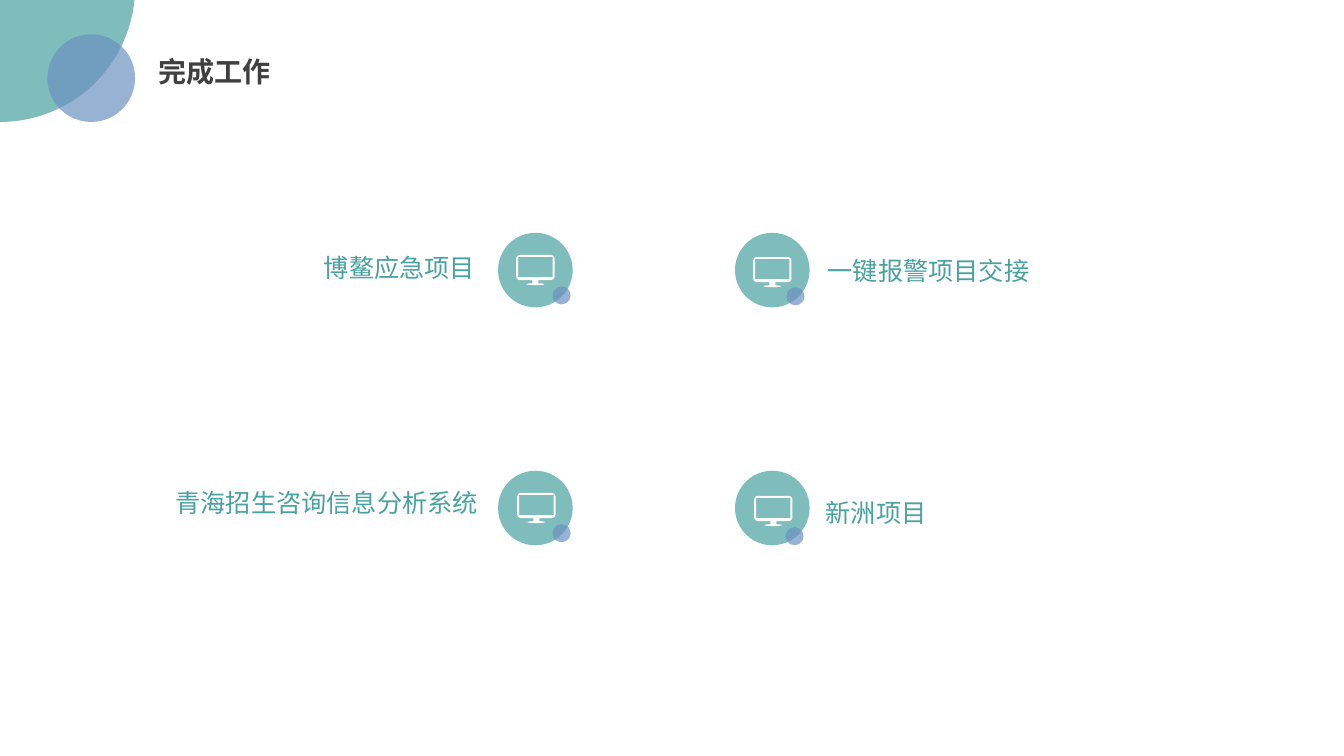
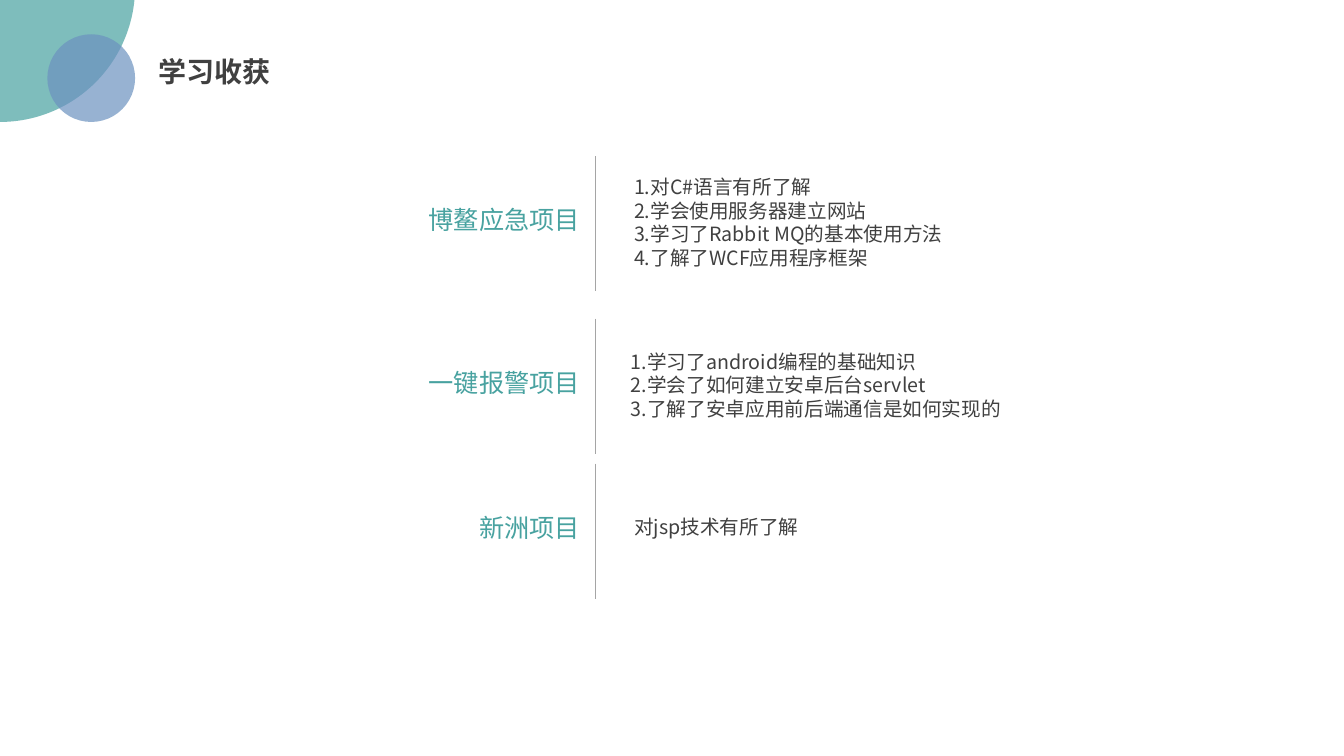
"""Build the work summary slides: finished projects and lessons learned."""
import math
from typing import NamedTuple

from lxml import etree
from pptx import Presentation, util as u
from pptx.dml import color
from pptx.enum import shapes, text
from pptx.oxml import ns

TEAL, BLUE, DARK, GRAY, WHITE = "48A2A0", "6C92C0", "404040", "A5A5A5", "FFFFFF"
FONT = "Noto Sans CJK SC"
LEFT, RIGHT = text.PP_ALIGN.LEFT, text.PP_ALIGN.RIGHT


class Job(NamedTuple):
    name: str
    x: float
    y: float
    box: tuple
    align: text.PP_ALIGN
    art: tuple
    dot: tuple


class Gain(NamedTuple):
    name: str
    top: float
    box: tuple
    notes: list


JOBS = [
    Job("博鳌应急项目", 4.94, 2.31, (3.09, 2.45, 1.72), RIGHT, (0.18, 0.22), (0.54, 0.53)),
    Job("青海招生咨询信息分析系统", 4.94, 4.67, (1.61, 4.79, 3.23), RIGHT, (0.19, 0.22), (0.54, 0.53)),
    Job("一键报警项目交接", 7.29, 2.31, (8.11, 2.48, 2.22), LEFT, (0.18, 0.24), (0.51, 0.54)),
    Job("新洲项目", 7.29, 4.67, (8.09, 4.88, 1.21), LEFT, (0.19, 0.25), (0.5, 0.56)),
]
GAINS = [
    Gain("博鳌应急项目", 1.55, (6.19, 1.69, 4.83, 1.04), [
        "1.对C#语言有所了解",
        "2.学会使用服务器建立网站",
        "3.学习了Rabbit MQ的基本使用方法",
        "4.了解了WCF应用程序框架",
    ]),
    Gain("一键报警项目", 3.16, (6.16, 3.42, 4.64, 0.81), [
        "1.学习了android编程的基础知识",
        "2.学会了如何建立安卓后台servlet",
        "3.了解了安卓应用前后端通信是如何实现的",
    ]),
    Gain("新洲项目", 4.6, (6.19, 5.06, 2.84, 0.34), ["对jsp技术有所了解"]),
]


def rgb(code: str) -> color.RGBColor:
    return color.RGBColor.from_string(code)


def paint(shape, code: str, alpha: int = 100) -> None:
    shape.shadow.inherit = False
    shape.line.fill.background()
    shape.fill.solid()
    shape.fill.fore_color.rgb = rgb(code)
    if alpha < 100:
        tint = shape._element.spPr.find(".//" + ns.qn("a:srgbClr"))
        etree.SubElement(tint, ns.qn("a:alpha"), val=str(alpha * 1000))


def disc(slide, x: float, y: float, size: float, code: str) -> None:
    oval = slide.shapes.add_shape(
        shapes.MSO_SHAPE.OVAL, *map(u.Inches, (x, y, size, size)))
    paint(oval, code, 70)


def write(slide, lines: list, x: float, y: float, w: float, h: float, *,
          size: int = 18, code: str = TEAL, bold: bool = False,
          align: text.PP_ALIGN = LEFT, wrap: bool = False) -> None:
    frame = slide.shapes.add_textbox(*map(u.Inches, (x, y, w, h))).text_frame
    frame.word_wrap = wrap
    for i, line in enumerate(lines):
        para = frame.paragraphs[0] if i == 0 else frame.add_paragraph()
        para.alignment = align
        run = para.add_run()
        run.text = line
        font = run.font
        font.name, font.size, font.bold = FONT, u.Pt(size), bold
        font.color.rgb = rgb(code)
        etree.SubElement(run._r.get_or_add_rPr(), ns.qn("a:ea"), typeface=FONT)


def arc(x: float, y: float, rx: float, ry: float, start: int, end: int) -> list:
    turns = [math.radians(start + (end - start) * i / 12) for i in range(13)]
    return [(x + rx * math.cos(t), y + ry * math.sin(t)) for t in turns]


def screen(slide, x: float, y: float) -> None:
    r = 0.04
    body = [
        *arc(r, r, r, r, 180, 270),
        *arc(0.38 - r, r, r, r, 270, 360),
        *arc(0.38 - r, 0.25 - r, r, r, 0, 90),
        (0.22, 0.25), (0.22, 0.28),
        *arc(0.19, 0.29, 0.09, 0.01, -70, 250),
        (0.16, 0.28), (0.16, 0.25),
        *arc(r, 0.25 - r, r, r, 90, 180),
    ]
    pane = [(0.02, 0.02), (0.02, 0.22), (0.36, 0.22), (0.36, 0.02)]
    rings = [[(u.Inches(x + a), u.Inches(y + b)) for a, b in ring]
             for ring in (body, pane)]
    pen = slide.shapes.build_freeform(*rings[0][0])
    for ring in rings:
        pen.move_to(*ring[0])
        pen.add_line_segments(ring[1:], close=True)
    paint(pen.convert_to_shape(), WHITE)


def rule(slide, x: float, top: float, end: float) -> None:
    line = slide.shapes.add_connector(
        shapes.MSO_CONNECTOR.STRAIGHT, *map(u.Inches, (x, top, x, end)))
    line.line.color.rgb = rgb(GRAY)
    line.line.width = u.Pt(0.5)
    etree.SubElement(line._element.spPr, ns.qn("a:effectLst"))


def start(deck, title: str):
    slide = deck.slides.add_slide(deck.slide_layouts[6])
    disc(slide, -1.34, -1.47, 2.68, TEAL)
    disc(slide, 0.47, 0.34, 0.87, BLUE)
    write(slide, [title], 1.47, 0.49, 1.32, 0.44, size=20, code=DARK, bold=True)
    return slide


def show(slide, job: Job) -> None:
    disc(slide, job.x, job.y, 0.74, TEAL)
    write(slide, [job.name], *job.box, 0.4, align=job.align)
    screen(slide, job.x + job.art[0], job.y + job.art[1])
    disc(slide, job.x + job.dot[0], job.y + job.dot[1], 0.18, BLUE)


def learn(slide, gain: Gain) -> None:
    write(slide, [gain.name], 4.13, gain.top + 0.43, 1.72, 0.4, align=RIGHT)
    rule(slide, 5.9, gain.top, gain.top + 1.34)
    write(slide, gain.notes, *gain.box, size=14, code=DARK, wrap=True)


def main() -> None:
    deck = Presentation()
    deck.slide_width, deck.slide_height = u.Inches(13.33), u.Inches(7.5)
    done = start(deck, "完成工作")
    for job in JOBS:
        show(done, job)
    learnt = start(deck, "学习收获")
    for gain in GAINS:
        learn(learnt, gain)
    deck.save("out.pptx")


if __name__ == "__main__":
    main()
